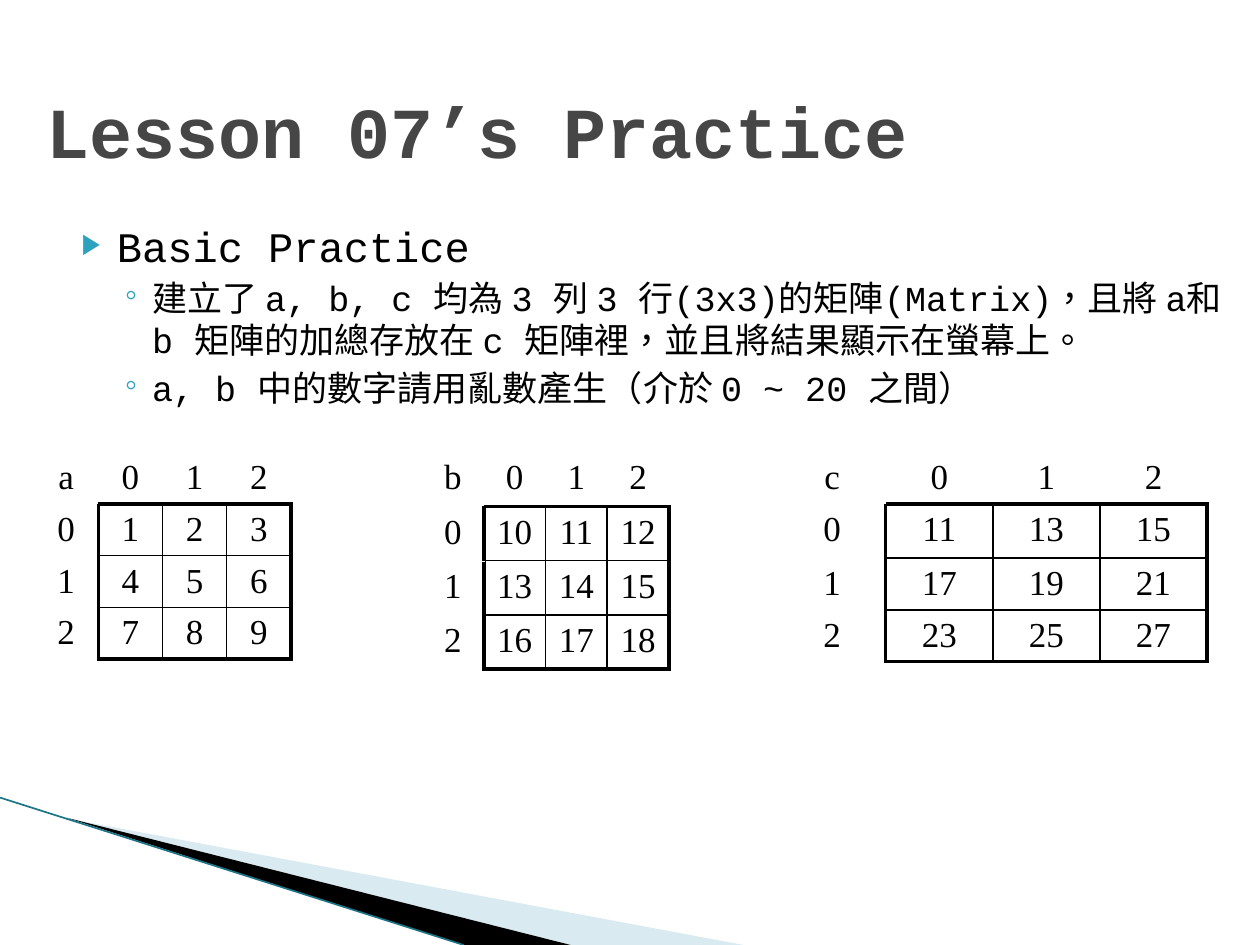
import pptx
import pptx.util
import pptx.dml.color
import pptx.enum.text
import pptx.oxml
import pptx.oxml.ns
from lxml import etree

Inches, Pt = pptx.util.Inches, pptx.util.Pt
RGB = pptx.dml.color.RGBColor
ALIGN, ANCHOR = pptx.enum.text.PP_ALIGN, pptx.enum.text.MSO_ANCHOR
qn = pptx.oxml.ns.qn

BLACK, WHITE = RGB(0, 0, 0), RGB(255, 255, 255)
GREY, TEAL = RGB(0x46, 0x46, 0x46), RGB(0x2D, 0xA2, 0xBF)
PALE, EDGE = RGB(0xA0, 0xCB, 0xDC), RGB(0x1B, 0x75, 0x87)
MONO, SERIF = "Courier New", "Times New Roman"
WIDE, HIGH = 10, 7.5

TITLE = "Lesson 07’s Practice"
# text, size, space before, left indent, hang, bullet, bullet percent
BODY = [
    ("Basic Practice", 24, 4, 0.4, 0.28, "▶", 68),
    ("建立了 a, b, c 均為 3 列 3 行(3x3)的矩陣(Matrix)，且將 a和 b "
     "矩陣的加總存放在 c 矩陣裡，並且將結果顯示在螢幕上。",
     20, 3.2, 0.68, 0.25, "◦", 100),
    ("a, b 中的數字請用亂數產生（介於 0 ~ 20 之間）",
     20, 3.2, 0.68, 0.25, "◦", 100),
]
A = [[1, 2, 3], [4, 5, 6], [7, 8, 9]]
B = [[10, 11, 12], [13, 14, 15], [16, 17, 18]]
C = [[x + y for x, y in zip(p, q)] for p, q in zip(A, B)]
# name, values, left, column width, row heights
GRIDS = [
    ("a", A, 0.27, 0.51, [0.41] * 4),
    ("b", B, 3.35, 0.49, [0.43] * 4),
    ("c", C, 6.18, 0.85, [0.41, 0.43, 0.41, 0.41]),
]
GRID_TOP = 3.59
WEDGES = [
    ([(0.55, 6.5), (5.9, HIGH), (4.52, HIGH)], PALE, 40),
    ([(0.53, 6.49), (4.53, HIGH), (3.68, HIGH)], BLACK, 100),
]


def write(para, text, size=20, font=MONO, color=BLACK, bold=False,
          align=ALIGN.LEFT, before=0):
    """Put one formatted run in a paragraph."""
    para.alignment, para.space_before = align, Pt(before)
    run = para.add_run()
    run.text = text
    run.font.size, run.font.name, run.font.bold = Pt(size), font, bold
    run.font.color.rgb = color
    run._r.get_or_add_rPr().set("lang", "zh-TW")


def bullet(para, left, hang, char, share):
    """Give a paragraph a hanging coloured bullet."""
    props = para._p.get_or_add_pPr()
    props.set("marL", str(Inches(left)))
    props.set("indent", str(-Inches(hang)))
    color = etree.SubElement(props, qn("a:buClr"))
    etree.SubElement(color, qn("a:srgbClr"), val=str(TEAL))
    etree.SubElement(props, qn("a:buSzPct"), val=str(share * 1000))
    etree.SubElement(props, qn("a:buFont"), typeface=MONO)
    etree.SubElement(props, qn("a:buChar"), char=char)


def wedge(slide, points, color, alpha):
    """Draw a filled triangle."""
    spots = [(Inches(x), Inches(y)) for x, y in points]
    pen = slide.shapes.build_freeform(*spots[0])
    pen.add_line_segments(spots[1:], close=True)
    shape = pen.convert_to_shape()
    shape.shadow.inherit = False
    shape.line.fill.background()
    shape.fill.solid()
    shape.fill.fore_color.rgb = color
    if alpha < 100:
        tint = shape.fill._xPr.find(qn("a:solidFill"))[0]
        etree.SubElement(tint, qn("a:alpha"), val=str(alpha * 1000))


def rule(edge, inside):
    """Return colour and width of a grid line."""
    if not inside or edge == 0:
        return WHITE, 0.25
    return BLACK, 2.25 if edge in (1, 4) else 1


def border(cell, row, col):
    """Set the four borders of a cell from its place."""
    props = cell._tc.get_or_add_tcPr()
    sides = [("L", col, row), ("R", col + 1, row),
             ("T", row, col), ("B", row + 1, col)]
    for spot, (side, edge, cross) in enumerate(sides):
        color, width = rule(edge, cross > 0)
        line = etree.Element(qn("a:ln" + side), w=str(Pt(width)))
        fill = etree.SubElement(line, qn("a:solidFill"))
        etree.SubElement(fill, qn("a:srgbClr"), val=str(color))
        props.insert(spot, line)


def matrix(slide, name, values, left, width, heights):
    """Add a matrix with its row and column numbers."""
    rows = [[name, 0, 1, 2]] + [[i] + r for i, r in enumerate(values)]
    table = slide.shapes.add_table(
        4, 4, Inches(left), Inches(GRID_TOP),
        Inches(4 * width), Inches(sum(heights))).table
    table.first_row = table.horz_banding = False
    for i, row in enumerate(rows):
        table.rows[i].height = Inches(heights[i])
        table.columns[i].width = Inches(width)
        for j, value in enumerate(row):
            cell = table.cell(i, j)
            cell.margin_top, cell.margin_bottom = Inches(0.05), Inches(0.02)
            cell.fill.background()
            border(cell, i, j)
            write(cell.text_frame.paragraphs[0], str(value),
                  font=SERIF, align=ALIGN.CENTER)


def main():
    """Build and save the slide."""
    deck = pptx.Presentation()
    deck.slide_width, deck.slide_height = Inches(WIDE), Inches(HIGH)
    slide = deck.slides.add_slide(deck.slide_layouts[5])

    for item in WEDGES:
        wedge(slide, *item)
    line = slide.shapes.add_connector(
        1, 0, Inches(6.33), Inches(3.68), Inches(HIGH))
    line.line.color.rgb, line.line.width = EDGE, Pt(0.95)
    etree.SubElement(line._element.spPr, qn("a:effectLst"))

    title = slide.shapes.title
    title.left, title.top = Inches(0.27), Inches(0.52)
    title.width, title.height = Inches(9.48), Inches(1.02)
    title.text_frame.vertical_anchor = ANCHOR.MIDDLE
    write(title.text_frame.paragraphs[0], TITLE, size=41, color=GREY,
          bold=True)

    frame = slide.shapes.add_textbox(
        Inches(0.43), Inches(1.7), Inches(9.37), Inches(1.73)).text_frame
    frame.word_wrap = True
    for i, (text, size, before, left, hang, char, share) in enumerate(BODY):
        para = frame.add_paragraph() if i else frame.paragraphs[0]
        write(para, text, size=size, before=before)
        bullet(para, left, hang, char, share)

    for grid in GRIDS:
        matrix(slide, *grid)
    deck.save("out.pptx")


main()
